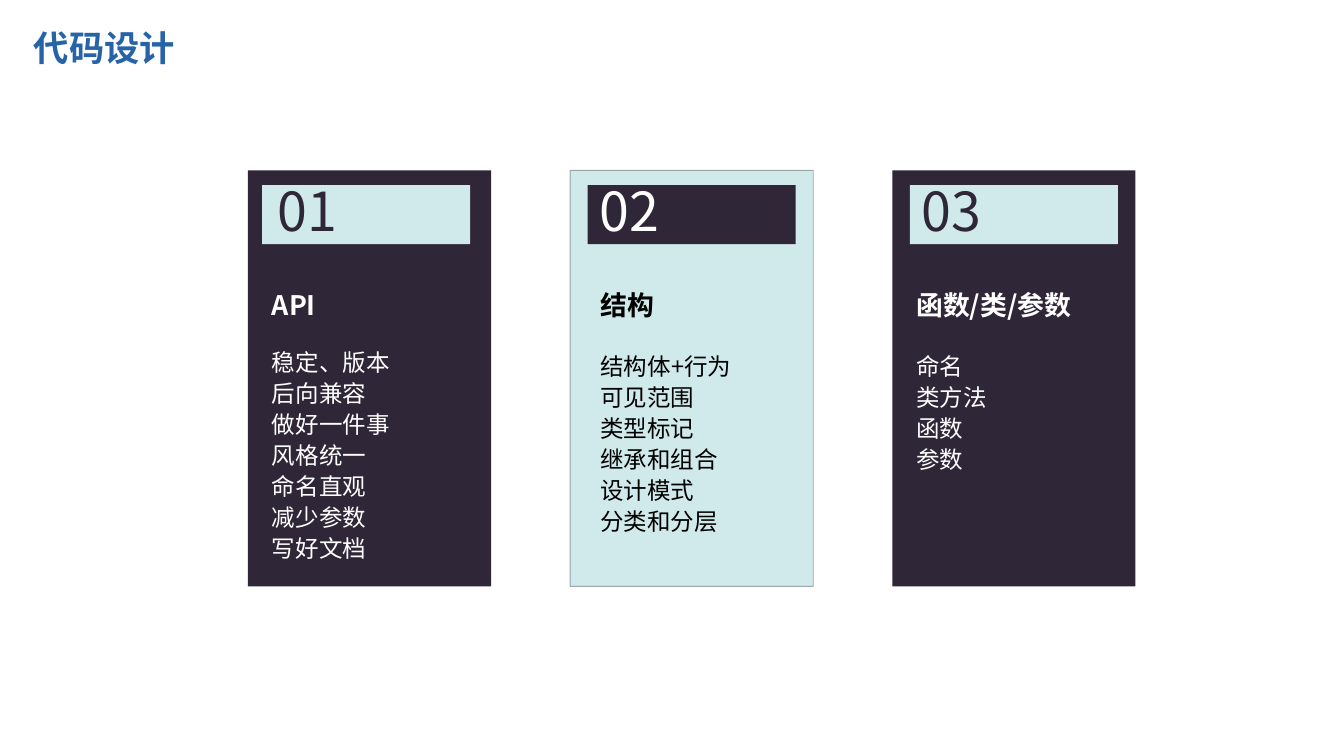
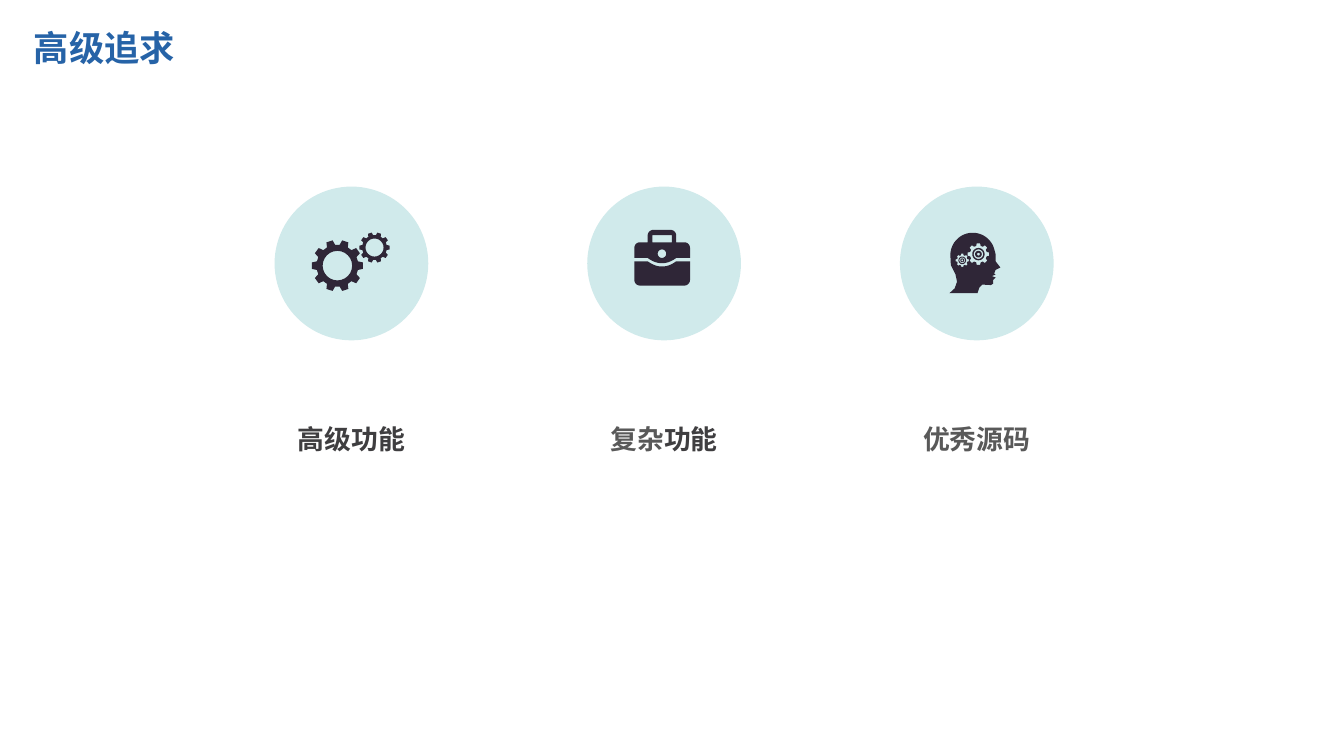
import math

from lxml import etree
from pptx import Presentation
from pptx import util as u
from pptx.dml.color import RGBColor
from pptx.enum import shapes, text
from pptx.oxml.ns import qn

DARK, PALE, BLUE = "2F2637", "D0EAEB", "2663A7"
WHITE, BLACK, GREY, CHARCOAL = "FFFFFF", "000000", "595959", "3F3E40"
SC, JP = "Noto Sans CJK SC", "Noto Sans CJK JP"
CIRCLE = 3.23

CARDS = [
    (DARK, PALE, WHITE, DARK, 0.3, 0.25, 14.4, "API",
     ["稳定、版本", "后向兼容", "做好一件事", "风格统一", "命名直观", "减少参数", "写好文档"]),
    (PALE, DARK, BLACK, WHITE, 0.37, 0.38, 16.8, "结构",
     ["结构体+行为", "可见范围", "类型标记", "继承和组合", "设计模式", "分类和分层"]),
    (DARK, PALE, WHITE, DARK, 0.37, 0.25, 16.8, "函数/类/参数",
     ["命名", "类方法", "函数", "参数"]),
]


def rgb(color):
    return RGBColor.from_string(color)


def cm(*values):
    return [u.Cm(v) for v in values]


def style(r, size, color, bold=False, name=SC):
    r.font.size = u.Pt(size)
    r.font.bold = bold
    r.font.color.rgb = rgb(color)
    r.font.name = name
    etree.SubElement(r._r.get_or_add_rPr(), qn("a:ea")).set("typeface", name)


def place(sp, x, y, w, h):
    sp.left, sp.top, sp.width, sp.height = cm(x, y, w, h)


def setup_frame(tf, wrap=True):
    tf.word_wrap = wrap
    tf.auto_size = text.MSO_AUTO_SIZE.NONE
    tf.vertical_anchor = text.MSO_ANCHOR.TOP


def add_title(s, title):
    sp = s.shapes.title
    place(sp, 0.71, 0.38, 19.66, 1.07)
    tf = sp.text_frame
    setup_frame(tf)
    tf.margin_left = tf.margin_top = tf.margin_right = tf.margin_bottom = 0
    tf.text = title
    p = tf.paragraphs[0]
    p.alignment = text.PP_ALIGN.LEFT
    p.line_spacing = 1.2
    style(p.runs[0], 21, BLUE, True)


def paint(sp, fill):
    sp.shadow.inherit = False
    sp.fill.solid()
    sp.fill.fore_color.rgb = rgb(fill)
    sp.line.fill.background()
    return sp


def add_block(s, kind, x, y, w, h, fill):
    return paint(s.shapes.add_shape(kind, *cm(x, y, w, h)), fill)


def add_label(s, x, y, w, h, runs, align=text.PP_ALIGN.LEFT):
    tf = s.shapes.add_textbox(*cm(x, y, w, h)).text_frame
    setup_frame(tf)
    p = tf.paragraphs[0]
    p.alignment = align
    for words, *look in runs:
        r = p.add_run()
        r.text = words
        style(r, *look)


def fill_list(sp, heading, items, color, gap):
    tf = sp.text_frame
    setup_frame(tf)
    tf.text = "\n".join([heading] + items)
    for i, p in enumerate(tf.paragraphs):
        pPr = p._p.get_or_add_pPr()
        pPr.set("marL", "0")
        pPr.set("indent", "0")
        etree.SubElement(pPr, qn("a:buNone"))
        p.alignment = text.PP_ALIGN.LEFT
        p.space_before = u.Pt(gap if i == 1 else 0)
        p.line_spacing = 1.1 if i else 1.0
        style(p.runs[0], 14 if i else 16, color, i == 0)


def outline_softly(sp):
    sp.line.width = u.Pt(0.5)
    sp.line.color.rgb = rgb(DARK)
    clr = sp.line._ln.find(".//" + qn("a:srgbClr"))
    etree.SubElement(clr, qn("a:alpha")).set("val", "39000")


def add_card(s, n, body, card):
    fill, bar, ink, digit, bar_dx, list_dx, gap, heading, items = card
    rect = shapes.MSO_SHAPE.RECTANGLE
    x, y = 5.21 + 6.77 * n, 3.58
    sp = add_block(s, rect, x, y, 5.11, 8.74, fill)
    if fill == PALE:
        outline_softly(sp)
    add_block(s, rect, x + bar_dx, 3.89, 4.37, 1.24, bar)
    add_label(s, x + 0.37, 3.61, 4.37, 1.63, [(f"{n + 1:02d}", 32, digit)])
    place(body, x + list_dx, 5.94, 4.47, 6.05)
    fill_list(body, heading, items, ink, gap)
    s.shapes._spTree.append(body._element)


def arc(cx, cy, r, start=0, end=360, steps=24):
    angles = [math.radians(start + (end - start) * i / steps) for i in range(steps + 1)]
    return [(cx + r * math.cos(a), cy + r * math.sin(a)) for a in angles]


def gear(cx, cy, tip, root, teeth):
    corners = [(root, -0.33), (tip, -0.2), (tip, 0.2), (root, 0.33)]
    turn = 2 * math.pi / teeth
    return [(cx + r * math.cos((i + d) * turn), cy + r * math.sin((i + d) * turn))
            for i in range(teeth) for r, d in corners]


def add_icon(s, x, y, contours):
    paths = [[tuple(cm(x + px, y + py)) for px, py in c] for c in contours]
    fb = s.shapes.build_freeform(*paths[0][0], scale=1.0)
    for i, path in enumerate(paths):
        if i:
            fb.move_to(*path[0])
        fb.add_line_segments(path[1:], close=True)
    paint(fb.convert_to_shape(), DARK)


def gears_icon():
    return [[gear(1.32, 1.66, 0.54, 0.44, 10), arc(1.32, 1.66, 0.31),
             gear(2.1, 1.28, 0.32, 0.26, 10), arc(2.1, 1.28, 0.19)]]


def briefcase_icon():
    def wave(y):
        return [(1.57 + 0.03 * i, y + 0.11 * (1 - i * i / 100)) for i in range(-10, 11)]

    lower = ([(0.99, 1.57)] + wave(1.57) + [(2.16, 1.57)]
             + arc(2.04, 1.96, 0.12, 0, 90) + arc(1.11, 1.96, 0.12, 90, 180))
    upper = (arc(1.11, 1.29, 0.12, 180, 270) + [(1.27, 1.17)]
             + arc(1.39, 1.03, 0.12, 180, 270) + arc(1.75, 1.03, 0.12, 270, 360)
             + [(1.87, 1.17)] + arc(2.04, 1.29, 0.12, 270, 360)
             + [(2.16, 1.5)] + wave(1.5)[::-1] + [(0.99, 1.5)])
    handle = [(1.37, 1.02), (1.78, 1.02), (1.78, 1.17), (1.37, 1.17)]
    return [[lower], [upper, handle, arc(1.57, 1.41, 0.09)]]


def head_icon():
    face = [(2.01, 1.42), (2.01, 1.57), (2.11, 1.7), (2.01, 1.75), (1.98, 1.83),
            (2.01, 1.85), (1.93, 1.88), (2.01, 1.91), (1.96, 1.96), (1.96, 2.04),
            (1.91, 2.07), (1.73, 2.06), (1.67, 2.12), (1.63, 2.24)]
    neck = [(1.04, 2.24), (1.15, 2.14), (1.2, 2.0), (1.17, 1.85), (1.07, 1.65)]
    contours = [arc(1.53, 1.44, 0.47, 180, 345) + face + neck]
    for cx, cy, tip, root, rings in [(1.65, 1.42, 0.23, 0.18, (0.13, 0.1, 0.07, 0.03)),
                                     (1.31, 1.55, 0.14, 0.11, (0.08, 0.06, 0.04, 0.02))]:
        contours.append(gear(cx, cy, tip, root, 8))
        contours += [arc(cx, cy, r) for r in rings]
    return [contours]


def add_goal(s, n, icon, runs):
    x, y = 5.77 + 6.57 * n, 3.92
    add_block(s, shapes.MSO_SHAPE.OVAL, x, y, CIRCLE, CIRCLE, PALE)
    for contours in icon:
        add_icon(s, x, y, contours)
    add_label(s, x, 8.76, CIRCLE, 0.94, runs, text.PP_ALIGN.CENTER)


def build_design(prs):
    s = prs.slides.add_slide(prs.slide_layouts[4])
    add_title(s, "代码设计")
    *bodies, spare = list(s.placeholders)[1:]
    spare._element.getparent().remove(spare._element)
    for n, (body, card) in enumerate(zip(bodies, CARDS)):
        add_card(s, n, body, card)


def build_goals(prs):
    s = prs.slides.add_slide(prs.slide_layouts[5])
    add_title(s, "高级追求")
    goals = [
        (gears_icon(), [("高级功能", 16, CHARCOAL, True)]),
        (briefcase_icon(), [("复杂", 16, GREY, True, JP), ("功能", 16, CHARCOAL, True)]),
        (head_icon(), [("优秀源码", 16, GREY, True, JP)]),
    ]
    for n, (icon, runs) in enumerate(goals):
        add_goal(s, n, icon, runs)


def main():
    prs = Presentation()
    prs.slide_width, prs.slide_height = cm(28.24, 15.88)
    build_design(prs)
    build_goals(prs)
    prs.save("out.pptx")


if __name__ == "__main__":
    main()
